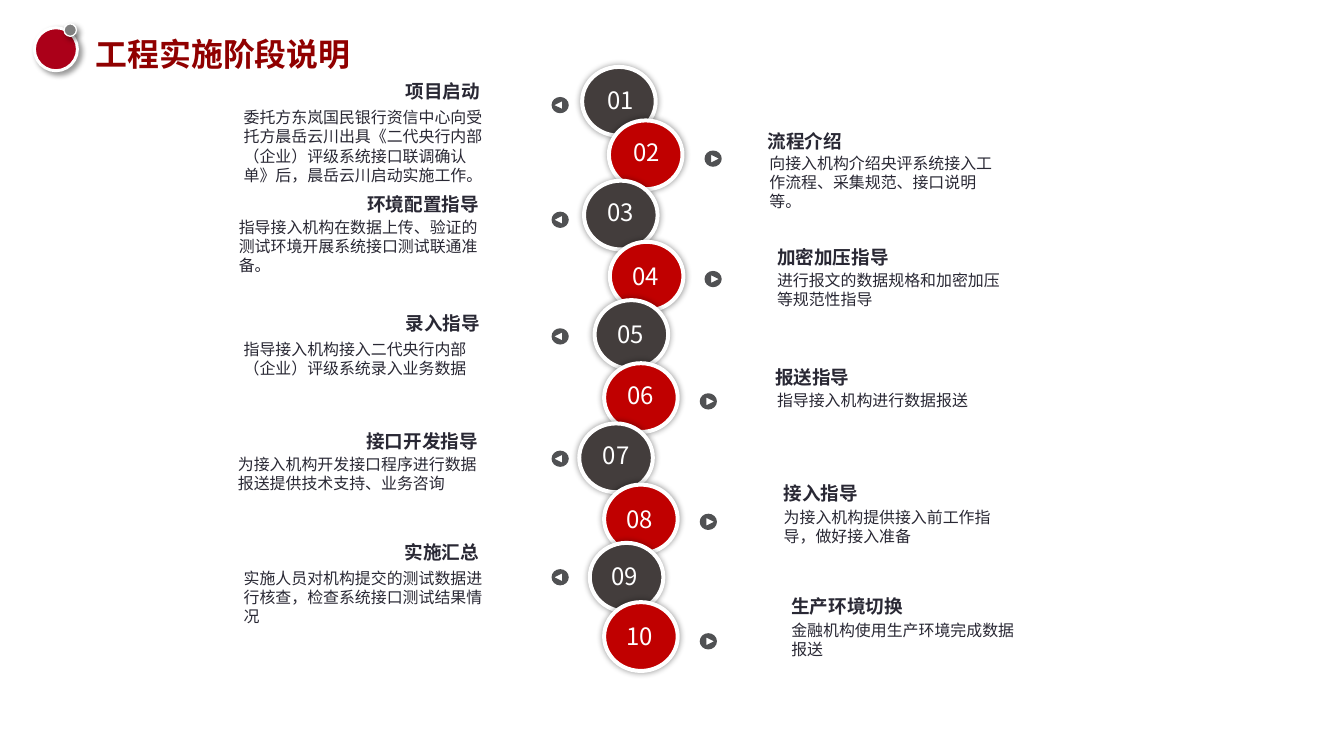
from math import ceil, cos, pi, sin

from lxml.etree import SubElement
from pptx import Presentation
from pptx.dml.color import RGBColor
from pptx.enum.shapes import MSO_SHAPE as Shape
from pptx.enum.text import MSO_ANCHOR as Anchor, MSO_AUTO_SIZE as AutoSize, PP_ALIGN as Align
from pptx.oxml.ns import qn
from pptx.util import Inches, Pt

FONT = "Noto Sans CJK SC"
WHITE = RGBColor(0xFF, 0xFF, 0xFF)
INK = RGBColor(0x29, 0x28, 0x34)
TITLE_RED = RGBColor(0x90, 0x00, 0x00)
BADGE_RED = RGBColor(0xAB, 0x00, 0x19)
BADGE_GREY = RGBColor(0x80, 0x80, 0x80)
DARK = RGBColor(0x43, 0x3D, 0x3C)
RED = RGBColor(0xC0, 0x00, 0x00)
MARKER_GREY = RGBColor(0x50, 0x51, 0x53)

TITLE = "工程实施阶段说明"

# heading, description, then left/top of: circle, number, heading, description;
# last, the centre of the arrow marker. Full-width brackets and commas are escaped.
STAGES = [
    ("项目启动",
     "委托方东岚国民银行资信中心向受托方晨岳云川出具《二代央行内部\uff08企业\uff09评级系统接口联调确认单》后\uff0c"
     "晨岳云川启动实施工作。",
     (6.09, 0.70), (6.22, 0.85), (2.77, 0.79), (2.45, 1.08), (5.86, 1.10)),
    ("流程介绍", "向接入机构介绍央评系统接入工作流程、采集规范、接口说明等。",
     (6.37, 1.26), (6.49, 1.39), (7.93, 1.31), (7.95, 1.56), (7.46, 1.66)),
    ("环境配置指导", "指导接入机构在数据上传、验证的测试环境开展系统接口测试联通准备。",
     (6.11, 1.89), (6.22, 2.02), (2.76, 1.97), (2.40, 2.23), (5.86, 2.30)),
    ("加密加压指导", "进行报文的数据规格和加密加压等规范性指导",
     (6.38, 2.53), (6.48, 2.69), (8.03, 2.52), (8.03, 2.78), (7.46, 2.92)),
    ("录入指导", "指导接入机构接入二代央行内部\uff08企业\uff09评级系统录入业务数据",
     (6.22, 3.14), (6.32, 3.29), (2.77, 3.21), (2.45, 3.50), (5.86, 3.52)),
    ("报送指导", "指导接入机构进行数据报送",
     (6.32, 3.80), (6.43, 3.93), (8.01, 3.78), (8.03, 4.04), (7.41, 4.20)),
    ("接口开发指导", "为接入机构开发接口程序进行数据报送提供技术支持、业务咨询",
     (6.06, 4.43), (6.17, 4.56), (2.75, 4.45), (2.39, 4.71), (5.86, 4.80)),
    ("接入指导", "为接入机构提供接入前工作指导\uff0c做好接入准备",
     (6.32, 5.07), (6.42, 5.23), (8.10, 4.99), (8.10, 5.26), (7.41, 5.46)),
    ("实施汇总", "实施人员对机构提交的测试数据进行核查\uff0c检查系统接口测试结果情况",
     (6.17, 5.68), (6.26, 5.83), (2.76, 5.61), (2.45, 5.90), (5.86, 6.04)),
    ("生产环境切换", "金融机构使用生产环境完成数据报送",
     (6.32, 6.30), (6.42, 6.46), (8.18, 6.18), (8.18, 6.44), (7.41, 6.71)),
]


def style_text(frame, text, size, color, bold=False, align=Align.LEFT):
    """Write one paragraph without hanging punctuation and format its run."""
    frame.text = text
    frame.word_wrap = True
    paragraph = frame.paragraphs[0]
    paragraph.alignment = align
    paragraph._p.get_or_add_pPr().set("hangingPunct", "0")
    run = paragraph.runs[0]
    run.font.size = Pt(size)
    run.font.bold = bold
    run.font.color.rgb = color
    run.font.name = FONT
    SubElement(run.font._element, qn("a:ea"), typeface=FONT)


def add_text(slide, place, width, height, text, size, color, **style):
    """Add a wrapping text box that grows with its text."""
    box = slide.shapes.add_textbox(*map(Inches, (*place, width, height)))
    style_text(box.text_frame, text, size, color, **style)
    box.text_frame.auto_size = AutoSize.SHAPE_TO_FIT_TEXT


def add_circle(slide, place, width, height, fill, rim, blur, distance=0, angle=0):
    """Add a white-rimmed ellipse with a soft black shadow."""
    circle = slide.shapes.add_shape(Shape.OVAL, *map(Inches, (*place, width, height)))
    circle.fill.solid()
    circle.fill.fore_color.rgb = fill
    circle.line.color.rgb = WHITE
    circle.line.width = Pt(rim)
    circle.shadow.inherit = False
    effects = circle._element.spPr.find(qn("a:effectLst"))
    shadow = SubElement(effects, qn("a:outerShdw"), blurRad=str(Pt(blur)),
                        dist=str(Pt(distance)), dir=str(angle * 60000),
                        algn="ctr", rotWithShape="0")
    black = SubElement(shadow, qn("a:srgbClr"), val="000000")
    SubElement(black, qn("a:alpha"), val="40000")


def add_marker(slide, centre, direction):
    """Add a disc with a triangular hole; direction is -1 for left, 1 for right."""
    x, y = centre
    steps = 16
    disc = [(x + 0.09 * cos(2 * pi * i / steps), y + 0.085 * sin(2 * pi * i / steps))
            for i in range(steps)]
    triangle = [(x + direction * dx, y + dy)
                for dx, dy in ((0.06, 0), (-0.02, 0.04), (-0.02, -0.04))]
    disc, triangle = ([(Inches(px), Inches(py)) for px, py in outline]
                      for outline in (disc, triangle))
    builder = slide.shapes.build_freeform(*disc[0])
    builder.add_line_segments(disc[1:], close=True)
    builder.move_to(*triangle[0])
    builder.add_line_segments(triangle[1:], close=True)
    marker = builder.convert_to_shape()
    marker.fill.solid()
    marker.fill.fore_color.rgb = MARKER_GREY
    marker.line.fill.background()
    marker.shadow.inherit = False


def add_title(slide):
    """Place the slide title and its two-circle badge."""
    title = slide.shapes.title
    title.left, title.top, title.width, title.height = map(Inches, (1, 0.28, 6.04, 0.48))
    frame = title.text_frame
    style_text(frame, TITLE, 24, TITLE_RED, bold=True)
    frame.margin_left = frame.margin_right = frame.margin_top = frame.margin_bottom = 0
    frame.vertical_anchor = Anchor.TOP
    frame.auto_size = AutoSize.NONE
    frame.paragraphs[0].line_spacing = 1.2
    frame.paragraphs[0].space_before = Pt(0)
    add_circle(slide, (0.36, 0.29), 0.45, 0.45, BADGE_RED, 2.25, 4, 3, 45)
    add_circle(slide, (0.67, 0.25), 0.13, 0.13, BADGE_GREY, 1, 4, 3, 45)


def add_stage(slide, number, stage):
    """Add one stage: odd ones point left, even ones point right."""
    heading, description, circle_at, number_at, heading_at, description_at, marker_at = stage
    on_left = number % 2 == 1
    add_circle(slide, circle_at, 0.77, 0.72, DARK if on_left else RED, 3, 5)
    add_text(slide, number_at, 0.55, 0.4, f"{number:02d}", 18, WHITE, align=Align.CENTER)
    add_marker(slide, marker_at, -1 if on_left else 1)
    lines = ceil(len(description) / (15 if on_left else 14))
    add_text(slide, description_at, 2.71 if on_left else 2.68, 0.1 + 0.2 * lines,
             description, 12, INK)
    add_text(slide, heading_at, 2.35 if on_left else 2.68, 0.34, heading, 14, INK,
             bold=True, align=Align.RIGHT if on_left else Align.LEFT)


presentation = Presentation()
presentation.slide_width, presentation.slide_height = Inches(14.06), Inches(7.91)
stages_slide = presentation.slides.add_slide(presentation.slide_layouts[5])
for stage_number, stage_content in enumerate(STAGES, 1):
    add_stage(stages_slide, stage_number, stage_content)
add_title(stages_slide)
presentation.save("out.pptx")
